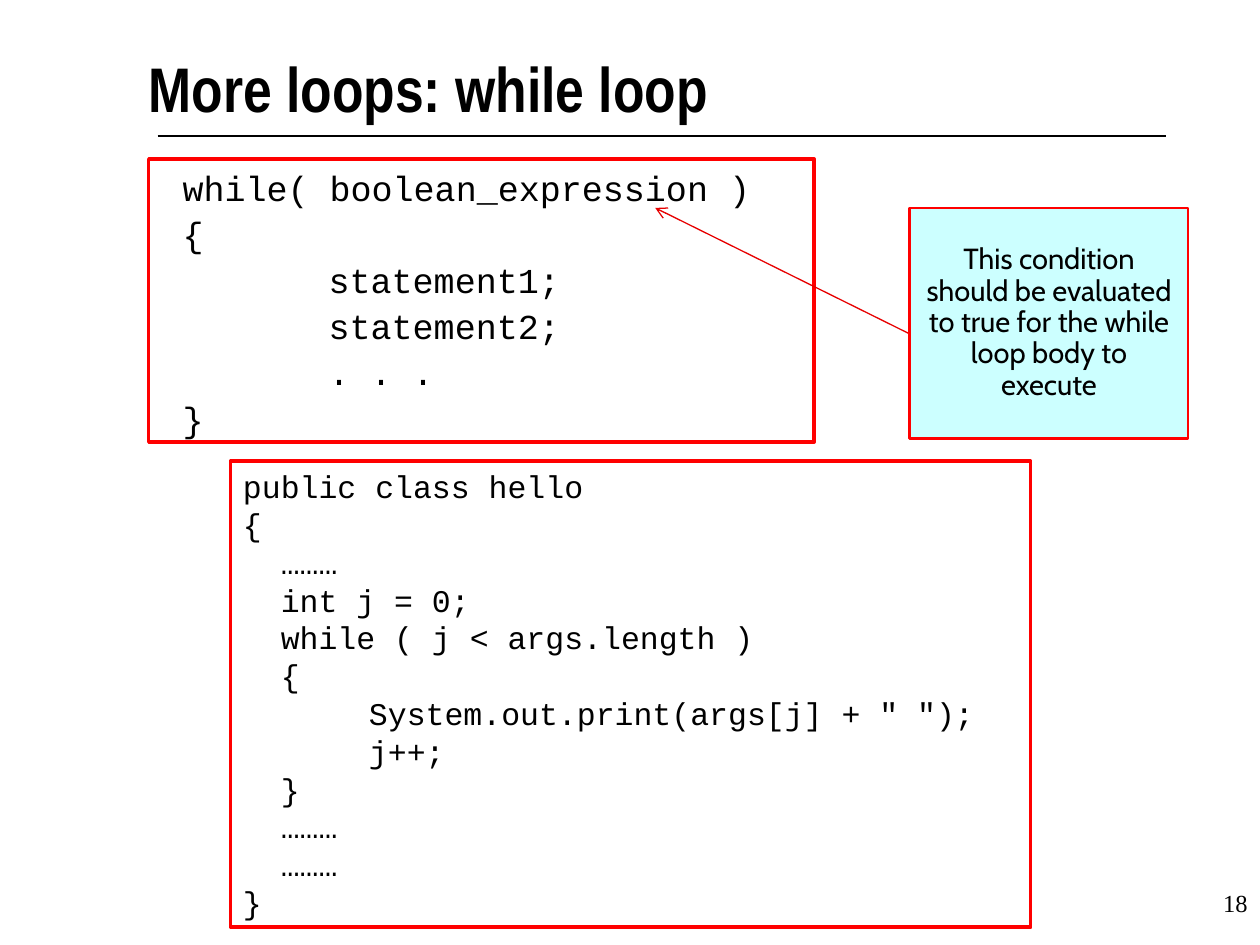
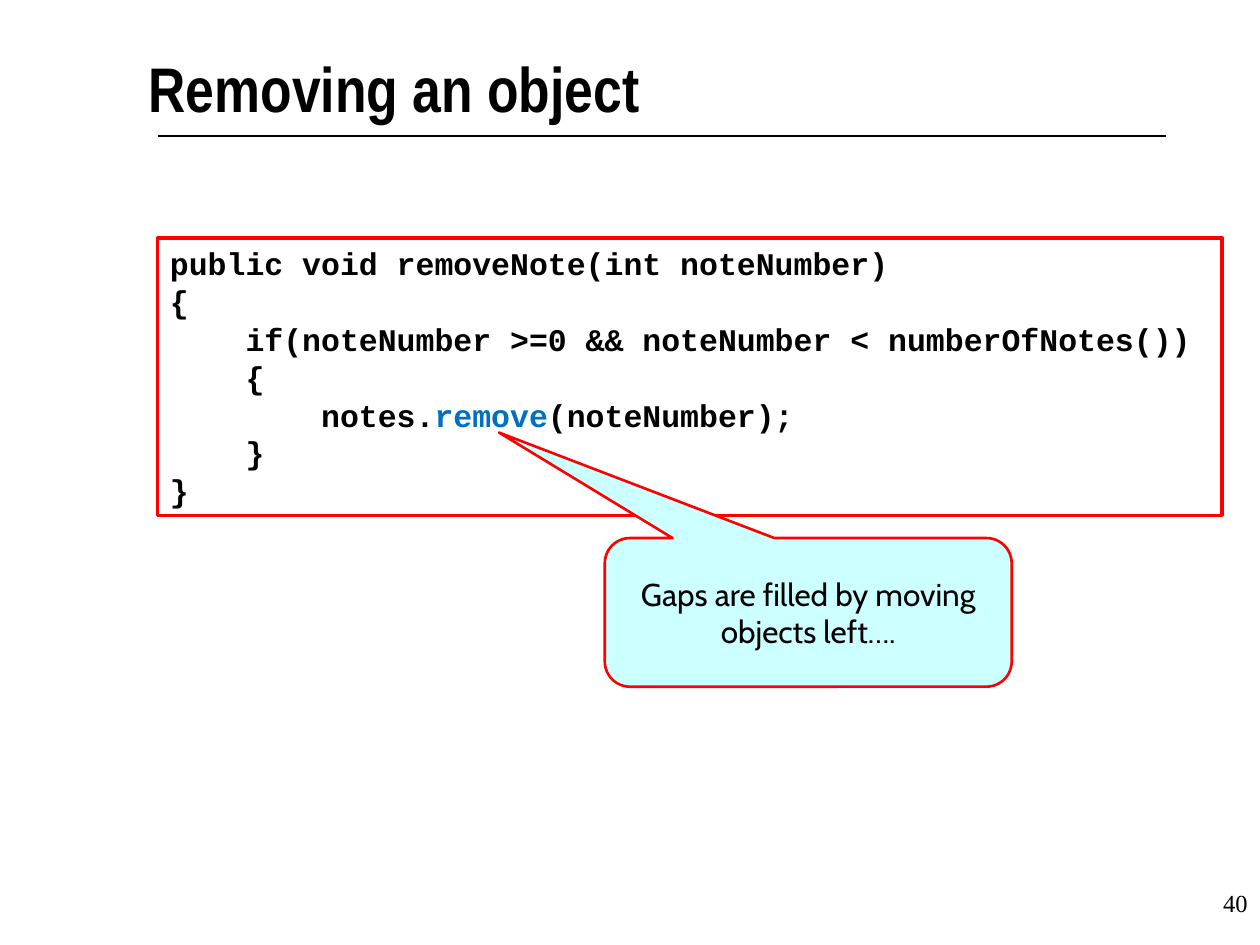
from pptx import Presentation
from pptx.dml.color import RGBColor
from pptx.enum.shapes import MSO_CONNECTOR, MSO_SHAPE
from pptx.enum.text import MSO_ANCHOR, PP_ALIGN
from pptx.oxml.ns import qn
from pptx.util import Inches, Pt
from lxml import etree

RECT, CALLOUT = MSO_SHAPE.RECTANGLE, MSO_SHAPE.ROUNDED_RECTANGULAR_CALLOUT
STRAIGHT = MSO_CONNECTOR.STRAIGHT
TOP, MIDDLE = MSO_ANCHOR.TOP, MSO_ANCHOR.MIDDLE
LEFT, CENTER, RIGHT = PP_ALIGN.LEFT, PP_ALIGN.CENTER, PP_ALIGN.RIGHT

BLACK, WHITE, RED, ARROW_RED = "000000", "FFFFFF", "FF0000", "E70000"
NOTE_FILL, KEYWORD = "CCFFFF", "0070C0"

TITLE_FONT = {"name": "Arial Narrow", "size": Pt(36), "bold": True}
NUMBER_FONT = {"name": "Times New Roman", "size": Pt(14)}
SYNTAX_FONT = {"name": "Courier New", "size": Pt(20)}
CODE_FONT = {"name": "Courier New", "size": Pt(18)}
BOLD_CODE_FONT = {**CODE_FONT, "bold": True}
SMALL_NOTE_FONT = {"name": "Cabin", "size": Pt(16.6)}
NOTE_FONT = {"name": "Cabin", "size": Pt(18)}

# Each line of code: indent in inches, then its text or its (text, colour) runs
WHILE_SYNTAX = [
    (0.17, "while( boolean_expression )"),
    (0.17, "{"),
    (1.33, "statement1;"),
    (1.33, "statement2;"),
    (1.33, ". . ."),
    (0.17, "}"),
]
WHILE_EXAMPLE = [
    (0, "public class hello"),
    (0, "{"),
    (0.3, "………"),
    (0.3, "int j = 0;"),
    (0.3, "while ( j < args.length )"),
    (0.3, "{"),
    (1, 'System.out.print(args[j] + " ");'),
    (1, "j++;"),
    (0.3, "}"),
    (0.3, "………"),
    (0.3, "………"),
    (0, "}"),
]
REMOVE_NOTE = [
    (0, "public void removeNote(int noteNumber)"),
    (0, "{"),
    (0.6, "if(noteNumber >=0 && noteNumber < numberOfNotes())"),
    (0.6, "{"),
    (1.2, [("notes.", BLACK), ("remove", KEYWORD), ("(noteNumber);", BLACK)]),
    (0.6, "}"),
    (0, "}"),
]
CONDITION_NOTE = "This condition should be evaluated to true for the while loop body to execute"
GAPS_NOTE = "Gaps are filled by moving objects left…."


def rgb(color):
    return RGBColor.from_string(color)


def inches(values):
    return [Inches(v) for v in values]


def write(sp, lines, font, align=LEFT, anchor=TOP, spacing=None):
    """Fill a shape with (indent, text or runs) lines."""
    tf = sp.text_frame
    tf.word_wrap = True
    tf.vertical_anchor = anchor
    for i, (indent, runs) in enumerate(lines):
        p = tf.add_paragraph() if i else tf.paragraphs[0]
        p.alignment = align
        if spacing:
            p.line_spacing = spacing
        if indent:
            p._p.get_or_add_pPr().set("marL", str(Inches(indent)))
        for text, color in [(runs, BLACK)] if isinstance(runs, str) else runs:
            r = p.add_run()
            r.text = text
            r.font.color.rgb = rgb(color)
            for key, value in font.items():
                setattr(r.font, key, value)


def add_text(s, at, text, font, align=LEFT):
    sp = s.shapes.add_textbox(*inches(at))
    write(sp, [(0, text)], font, align)
    return sp


def add_box(s, at, lines, font, fill=WHITE, width=2, shape=RECT, **layout):
    sp = s.shapes.add_shape(shape, *inches(at))
    sp.shadow.inherit = False
    sp.fill.solid()
    sp.fill.fore_color.rgb = rgb(fill)
    sp.line.color.rgb = rgb(RED)
    sp.line.width = Pt(width)
    write(sp, lines, font, **layout)
    return sp


def add_note(s, at, text, font, **layout):
    return add_box(s, at, [(0, text)], font, NOTE_FILL, 1.5,
                   align=CENTER, anchor=MIDDLE, **layout)


def add_line(s, ends, color, arrow=False):
    line = s.shapes.add_connector(STRAIGHT, *inches(ends))
    line.line.color.rgb = rgb(color)
    line.line.width = Pt(0.75)
    if arrow:
        etree.SubElement(line.line._get_or_add_ln(), qn("a:tailEnd"), type="arrow")
    etree.SubElement(line._element.spPr, qn("a:effectLst"))


def add_slide(prs, title, number):
    """Add a slide with the shared title, rule and slide number."""
    s = prs.slides.add_slide(prs.slide_layouts[6])
    add_line(s, (1.25, 1.08, 9.25, 1.08), BLACK)
    tf = add_text(s, (1.18, 0.39, 7.65, 0.75), title, TITLE_FONT).text_frame
    for side in ("left", "top", "right", "bottom"):
        setattr(tf, f"margin_{side}", 0)
    add_text(s, (7.92, 7, 2.08, 0.5), number, NUMBER_FONT, RIGHT)
    return s


def build_while_loop(prs):
    s = add_slide(prs, "More loops: while loop", "18")
    add_box(s, (1.18, 1.26, 5.28, 2.25), WHILE_SYNTAX, SYNTAX_FONT,
            anchor=MIDDLE, spacing=1.1)
    add_line(s, (7.22, 2.65, 5.2, 1.65), ARROW_RED, arrow=True)
    add_note(s, (7.22, 1.65, 2.21, 1.83), CONDITION_NOTE, SMALL_NOTE_FONT, spacing=0.9)
    add_box(s, (1.83, 3.66, 6.35, 3.7), WHILE_EXAMPLE, CODE_FONT)


def build_removing(prs):
    s = add_slide(prs, "Removing an object", "40")
    add_box(s, (1.25, 1.89, 8.45, 2.2), REMOVE_NOTE, BOLD_CODE_FONT)
    sp = add_note(s, (4.8, 4.27, 3.23, 1.18), GAPS_NOTE, NOTE_FONT, shape=CALLOUT)
    for i, value in enumerate((-0.76, -1.21, 0.17)):
        sp.adjustments[i] = value


def main():
    prs = Presentation()
    prs.slide_width, prs.slide_height = Inches(10), Inches(7.5)
    build_while_loop(prs)
    build_removing(prs)
    prs.save("out.pptx")


if __name__ == "__main__":
    main()
